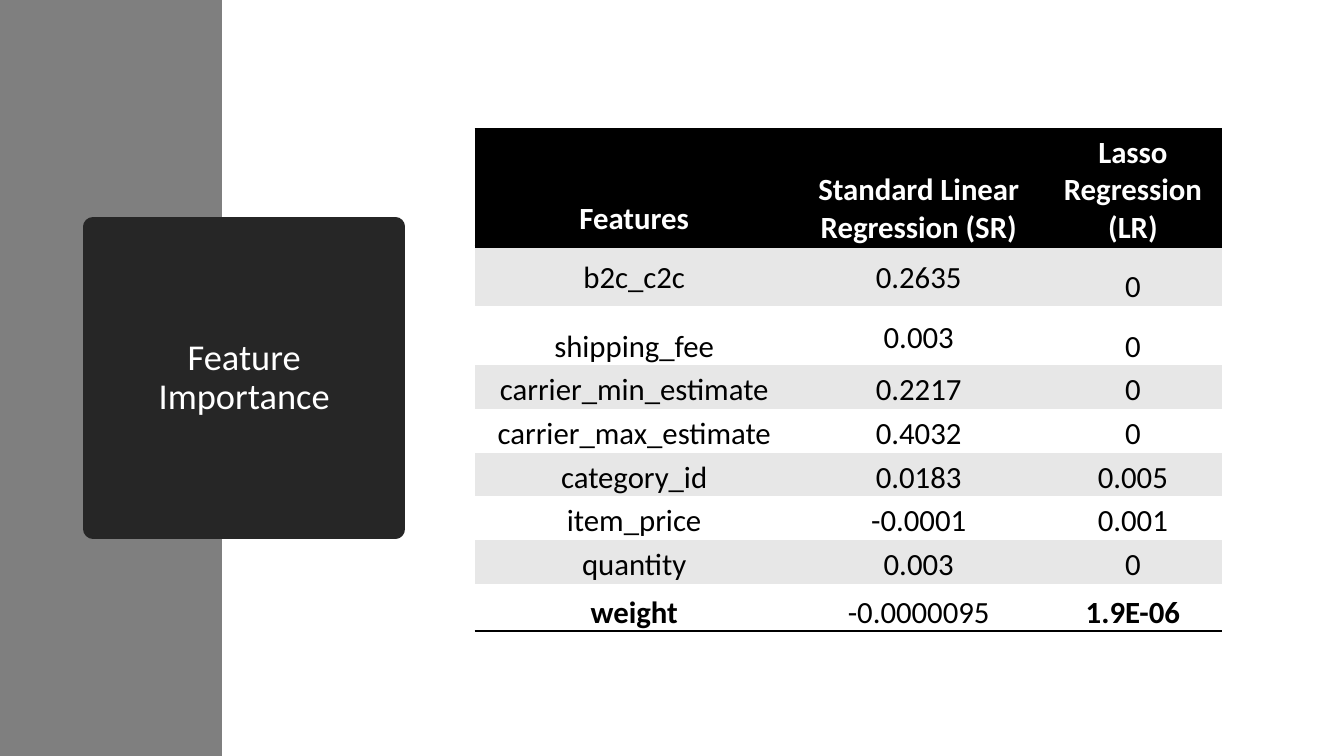
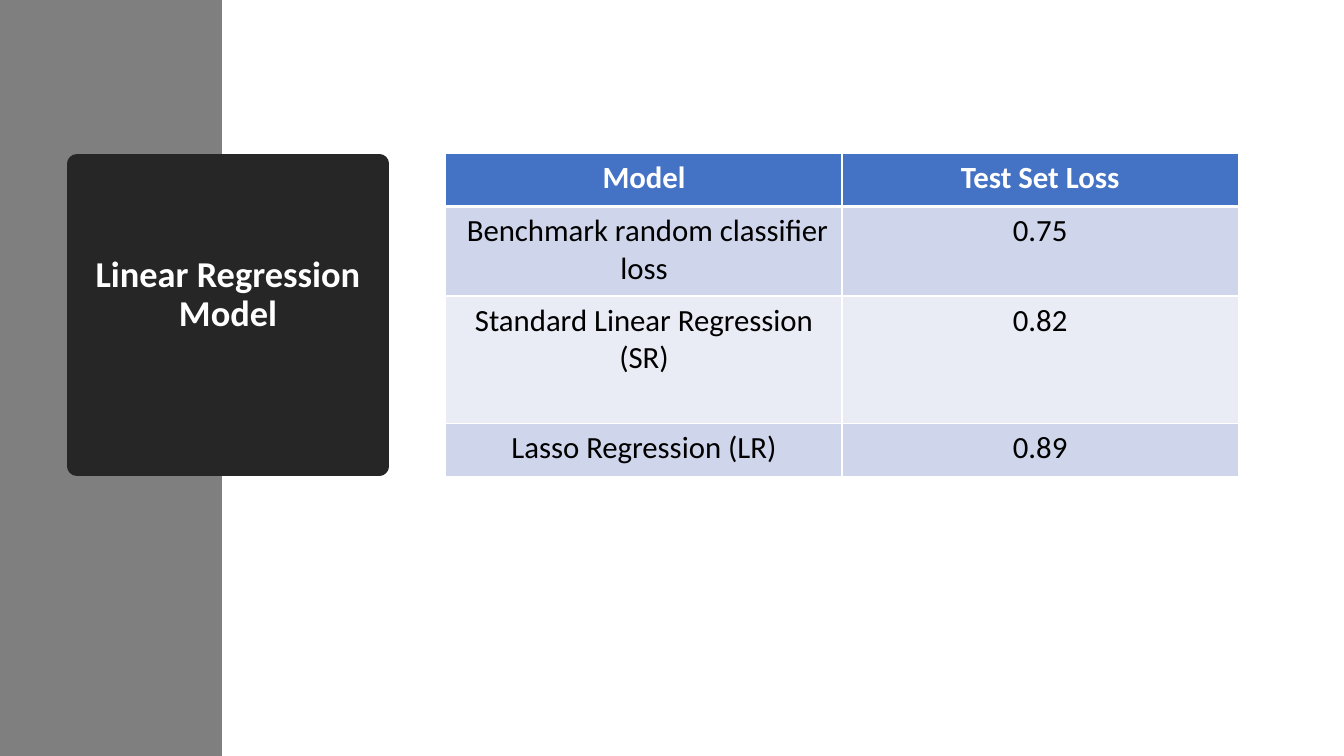
from dataclasses import dataclass

from lxml.etree import SubElement
from pptx import Presentation
from pptx.dml.color import RGBColor
from pptx.enum.shapes import MSO_SHAPE
from pptx.enum.text import MSO_ANCHOR, PP_ALIGN
from pptx.oxml.ns import qn
from pptx.util import Pt


@dataclass(frozen=True)
class Theme:
    font: str = "Calibri"
    title_size: float = 26
    table_size: float = 22
    band: str = "7F7F7F"
    card: str = "262626"
    black: str = "000000"
    white: str = "FFFFFF"
    grey: str = "E7E7E7"
    blue: str = "4472C4"
    blue_dark_row: str = "CFD5EA"
    blue_light_row: str = "E9EBF5"


theme = Theme()
PLAIN_TABLE_STYLE = "{2D5ABB26-0587-4C30-8999-92F81FD0307C}"
CARD_SIZE = 216
CARD_BORDER = 13.75


def add_text(frame, text, size, color, bold):
    para = frame.paragraphs[0]
    para.alignment = PP_ALIGN.CENTER
    span = para.add_run()
    span.text = text
    span.font.name = theme.font
    span.font.size = Pt(size)
    span.font.bold = bold
    span.font.color.rgb = RGBColor.from_string(color)
    return para


def style_cell(cell, fill, borders, insets, anchor):
    """Borders map a side (L, R, T, B) to colour and width; insets run left, top, right, bottom."""
    properties = cell._tc.get_or_add_tcPr()
    for side in "LRTB":
        if side in borders:
            color, width = borders[side]
            line = SubElement(properties, qn(f"a:ln{side}"), w=str(Pt(width)))
            solid = SubElement(line, qn("a:solidFill"))
            SubElement(solid, qn("a:srgbClr"), val=color)
    cell.fill.solid()
    cell.fill.fore_color.rgb = RGBColor.from_string(fill)
    cell.margin_left, cell.margin_top, cell.margin_right, cell.margin_bottom = map(Pt, insets)
    cell.vertical_anchor = anchor


deck = Presentation()
deck.slide_width, deck.slide_height = Pt(960), Pt(540)

# Padded and bold cells are (row, column) pairs; title_lift is extra space below the title.
feature_slide = {
    "title": "Feature Importance",
    "title_bold": False,
    "title_lift": 0,
    "card_at": (66.5, 162),
    "table_at": (339, 92),
    "columns": [228, 178.5, 127.5],
    "heights": [84, 42.5, 42.5] + [31.2] * 5 + [34],
    "rows": [
        ("Features", "Standard Linear Regression (SR)", "Lasso Regression (LR)"),
        ("b2c_c2c", "0.2635", "0"),
        ("shipping_fee", "0.003", "0"),
        ("carrier_min_estimate", "0.2217", "0"),
        ("carrier_max_estimate", "0.4032", "0"),
        ("category_id", "0.0183", "0.005"),
        ("item_price", "-0.0001", "0.001"),
        ("quantity", "0.003", "0"),
        ("weight", "-0.0000095", "1.9E-06"),
    ],
    "header_fill": theme.black,
    "row_fills": (theme.grey, theme.white),
    "header_borders": {"T": (theme.black, 2), "B": (theme.black, 2)},
    "body_borders": {},
    "last_borders": {"B": (theme.black, 2)},
    "insets": (0.7, 0.7, 0.7, 0),
    "padded_insets": (0.7, 6.5, 0.7, 6.5),
    "padded": {(0, 0), (1, 0), (1, 1), (2, 1)},
    "bold": {(8, 0), (8, 2)},
    "anchor": MSO_ANCHOR.BOTTOM,
}
thin_grid = {side: (theme.white, 1) for side in "LRTB"}
model_slide = {
    "title": "Linear Regression Model",
    "title_bold": True,
    "title_lift": 28,
    "card_at": (55, 117),
    "table_at": (318.5, 109.5),
    "columns": [283, 283],
    "heights": [38, 64, 91, 38],
    "rows": [
        ("Model", "Test Set Loss"),
        (" Benchmark random classifier loss", "0.75"),
        ("Standard Linear Regression (SR)", "0.82"),
        ("Lasso Regression (LR)", "0.89"),
    ],
    "header_fill": theme.blue,
    "row_fills": (theme.blue_dark_row, theme.blue_light_row),
    "header_borders": thin_grid | {"B": (theme.white, 3)},
    "body_borders": {side: thin_grid[side] for side in "LRB"},
    "last_borders": {side: thin_grid[side] for side in "LRB"},
    "insets": (8.5, 4.25, 8.5, 4.25),
    "padded_insets": None,
    "padded": set(),
    "bold": set(),
    "anchor": MSO_ANCHOR.TOP,
}

for content in (feature_slide, model_slide):
    page = deck.slides.add_slide(deck.slide_layouts[6])

    band = page.shapes.add_shape(MSO_SHAPE.RECTANGLE, 0, 0, Pt(158.5), deck.slide_height)
    band.shadow.inherit = False
    band.fill.solid()
    band.fill.fore_color.rgb = RGBColor.from_string(theme.band)
    band.line.fill.background()

    left, top = content["card_at"]
    card = page.shapes.add_shape(
        MSO_SHAPE.RECTANGLE, Pt(left), Pt(top), Pt(CARD_SIZE), Pt(CARD_SIZE)
    )
    card.shadow.inherit = False
    card.fill.solid()
    card.fill.fore_color.rgb = RGBColor.from_string(theme.card)
    card.line.color.rgb = RGBColor.from_string(theme.card)
    card.line.width = Pt(CARD_BORDER)
    SubElement(card.line._get_or_add_ln(), qn("a:round"))
    frame = card.text_frame
    frame.word_wrap = True
    frame.vertical_anchor = MSO_ANCHOR.MIDDLE
    frame.margin_bottom = Pt(3.6 + content["title_lift"])
    para = add_text(frame, content["title"], theme.title_size, theme.white, content["title_bold"])
    para.line_spacing = 0.9

    rows, columns, heights = content["rows"], content["columns"], content["heights"]
    left, top = content["table_at"]
    holder = page.shapes.add_table(
        len(rows), len(columns), Pt(left), Pt(top), Pt(sum(columns)), Pt(sum(heights))
    )
    table = holder.table
    table._tbl.tblPr.find(qn("a:tableStyleId")).text = PLAIN_TABLE_STYLE
    for column, width in zip(table.columns, columns):
        column.width = Pt(width)

    for r, (values, height) in enumerate(zip(rows, heights)):
        table.rows[r].height = Pt(height)
        is_header = r == 0
        if is_header:
            fill, color, borders = content["header_fill"], theme.white, content["header_borders"]
        else:
            fill, color = content["row_fills"][(r - 1) % 2], theme.black
            borders = content["last_borders" if r == len(rows) - 1 else "body_borders"]
        for c, value in enumerate(values):
            cell = table.cell(r, c)
            insets = content["padded_insets" if (r, c) in content["padded"] else "insets"]
            style_cell(cell, fill, borders, insets, content["anchor"])
            bold = is_header or (r, c) in content["bold"]
            add_text(cell.text_frame, value, theme.table_size, color, bold)

deck.save("out.pptx")
